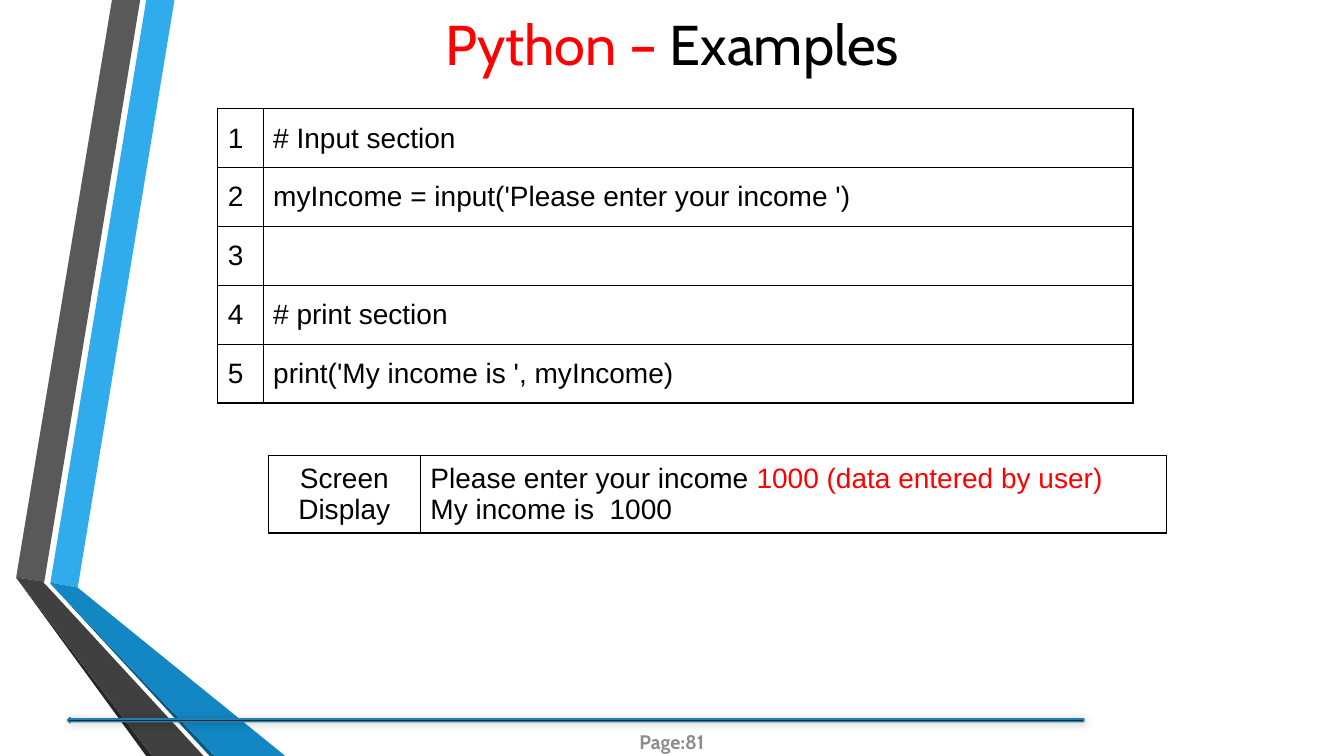
"""Build the slide with the Python input and print example."""
from dataclasses import dataclass

from lxml import etree
from pptx import Presentation
from pptx.dml.color import RGBColor
from pptx.enum.shapes import MSO_SHAPE
from pptx.enum.text import MSO_ANCHOR, PP_ALIGN
from pptx.oxml.ns import qn
from pptx.slide import Slide
from pptx.text.text import TextFrame
from pptx.util import Inches, Length, Pt

WIDTH = Inches(13.33)
HEIGHT = Inches(7.5)
TITLE_ONLY = 5
LEFT_ARROW = MSO_SHAPE.LEFT_ARROW
MIDDLE = MSO_ANCHOR.MIDDLE
LEFT = PP_ALIGN.LEFT
CENTER = PP_ALIGN.CENTER

BLACK = RGBColor(0x00, 0x00, 0x00)
RED = RGBColor(0xFF, 0x00, 0x00)
PAGE_GRAY = RGBColor(0x8C, 0x8C, 0x8C)
RULE_BLUE = RGBColor(0x24, 0x7F, 0xAF)
SKY = RGBColor(0x30, 0xAC, 0xEC)
BLUE = RGBColor(0x12, 0x87, 0xC3)
NAVY = RGBColor(0x0C, 0x5A, 0x82)
GRAY = RGBColor(0x59, 0x59, 0x59)
CHARCOAL = RGBColor(0x40, 0x40, 0x40)
COAL = RGBColor(0x26, 0x26, 0x26)


@dataclass(frozen=True)
class Ribbon:
    """A filled outline with corners in percent of the slide."""
    color: RGBColor
    corners: tuple[tuple[float, float], ...]


@dataclass(frozen=True)
class Span:
    """A stretch of text in one colour."""
    text: str
    color: RGBColor = BLACK


@dataclass(frozen=True)
class Entry:
    """The paragraphs of a table cell."""
    lines: tuple[tuple[Span, ...], ...]
    align: PP_ALIGN = LEFT


@dataclass(frozen=True)
class Grid:
    """A bordered table with sizes in percent of the slide."""
    left: float
    top: float
    columns: tuple[float, ...]
    row: float
    entries: tuple[tuple[Entry, ...], ...]


RIBBONS = (
    Ribbon(SKY, ((3.75, 77.07), (5.78, 77.73), (12.98, 0), (10.88, 0))),
    Ribbon(GRAY, ((10.43, 0), (8.33, 0), (1.2, 76.4), (3.3, 76.93))),
    Ribbon(COAL, ((1.2, 76.4), (10.88, 100), (11.33, 100))),
    Ribbon(NAVY, ((3.75, 77.2), (15.6, 100), (15.98, 100))),
    Ribbon(BLUE, ((3.75, 77.2), (15.98, 100), (21.23, 100), (5.78, 77.73), (3.75, 77.07))),
    Ribbon(CHARCOAL, ((15.15, 100), (3.6, 77.73), (3.23, 77.07), (3.3, 76.93),
                      (1.2, 76.4), (11.33, 100))),
)
CODE = (
    "# Input section",
    "myIncome = input('Please enter your income ')",
    "",
    "# print section",
    "print('My income is ', myIncome)",
)
LISTING = Grid(16.2, 14.4, (3.38, 64.72), 7.78, tuple(
    (Entry(((Span(str(number)),),)), Entry(((Span(line),),)))
    for number, line in enumerate(CODE, 1)))
DISPLAY = Grid(19.95, 60.27, (11.33, 55.5), 9.55, ((
    Entry(((Span("Screen Display"),),), CENTER),
    Entry(((Span("Please enter your income "), Span("1000 (data entered by user)", RED)),
           (Span("My income is  1000"),))),
),))


def across(percent: float) -> Length:
    """Return a share of the slide width."""
    return Length(round(WIDTH * percent / 100))


def down(percent: float) -> Length:
    """Return a share of the slide height."""
    return Length(round(HEIGHT * percent / 100))


def write(frame: TextFrame, lines: tuple[tuple[Span, ...], ...], font: str, size: int,
          align: PP_ALIGN, bold: bool = False) -> None:
    """Fill a text frame with coloured spans."""
    for index, line in enumerate(lines):
        para = frame.add_paragraph() if index else frame.paragraphs[0]
        para.alignment = align
        para.font.size = Pt(size)
        for span in line:
            run = para.add_run()
            run.text = span.text
            run.font.name = font
            run.font.size = Pt(size)
            run.font.bold = bold
            run.font.color.rgb = span.color


def draw_ribbon(page: Slide, ribbon: Ribbon) -> None:
    """Draw one ribbon of the side decoration."""
    points = [(across(x), down(y)) for x, y in ribbon.corners]
    builder = page.shapes.build_freeform(*points[0])
    builder.add_line_segments(points[1:], close=True)
    shape = builder.convert_to_shape()
    shape.shadow.inherit = False
    shape.fill.solid()
    shape.fill.fore_color.rgb = ribbon.color
    shape.line.fill.background()


def draw_grid(page: Slide, grid: Grid) -> None:
    """Draw a table with thin black borders."""
    count = len(grid.entries)
    table = page.shapes.add_table(
        count, len(grid.columns), across(grid.left), down(grid.top),
        across(sum(grid.columns)), down(grid.row * count)).table
    table.first_row = False
    table.horz_banding = False
    for column, width in zip(table.columns, grid.columns):
        column.width = across(width)
    for row, entries in zip(table.rows, grid.entries):
        row.height = down(grid.row)
        for cell, entry in zip(row.cells, entries):
            cell.fill.background()
            cell.vertical_anchor = MIDDLE
            write(cell.text_frame, entry.lines, "Arial", 20, entry.align)
            properties = cell._tc.get_or_add_tcPr()
            for index, side in enumerate(("a:lnL", "a:lnR", "a:lnT", "a:lnB")):
                border = etree.Element(qn(side), w=str(Pt(1)))
                paint = etree.SubElement(border, qn("a:solidFill"))
                etree.SubElement(paint, qn("a:srgbClr"), val=str(BLACK))
                properties.insert(index, border)


def draw_footer(page: Slide) -> None:
    """Draw the page number and the shadowed rule."""
    box = page.shapes.add_textbox(across(43.35), down(95.47), across(13.28), down(5.33))
    frame = box.text_frame
    frame.word_wrap = True
    frame.vertical_anchor = MIDDLE
    frame.margin_left = frame.margin_right = Inches(0.04)
    frame.margin_top = frame.margin_bottom = Inches(0.02)
    write(frame, ((Span("Page:81", PAGE_GRAY),),), "Cabin", 14, CENTER, True)
    rule = page.shapes.add_shape(LEFT_ARROW, across(5.03), down(94.93), across(75.6), down(0.67))
    rule.fill.solid()
    rule.fill.fore_color.rgb = BLACK
    rule.line.color.rgb = RULE_BLUE
    rule.line.width = Pt(1.25)
    rule.shadow.inherit = False
    effects = rule._element.spPr.find(qn("a:effectLst"))
    shadow = etree.SubElement(effects, qn("a:outerShdw"), blurRad=str(Pt(6)),
                              dist=str(Pt(1)), dir="2700000")
    tint = etree.SubElement(shadow, qn("a:srgbClr"), val=str(BLACK))
    etree.SubElement(tint, qn("a:alpha"), val="20000")


def main() -> None:
    """Build and save the deck."""
    deck = Presentation()
    deck.slide_width = WIDTH
    deck.slide_height = HEIGHT
    page = deck.slides.add_slide(deck.slide_layouts[TITLE_ONLY])
    for ribbon in RIBBONS:
        draw_ribbon(page, ribbon)
    draw_footer(page)
    title = page.shapes.title
    title.left, title.top, title.width, title.height = 0, 0, across(100), down(11.47)
    title.text_frame.vertical_anchor = MIDDLE
    write(title.text_frame, ((Span("Python –", RED), Span(" Examples")),), "Cabin", 40, CENTER)
    for grid in (LISTING, DISPLAY):
        draw_grid(page, grid)
    deck.save("out.pptx")


if __name__ == "__main__":
    main()
